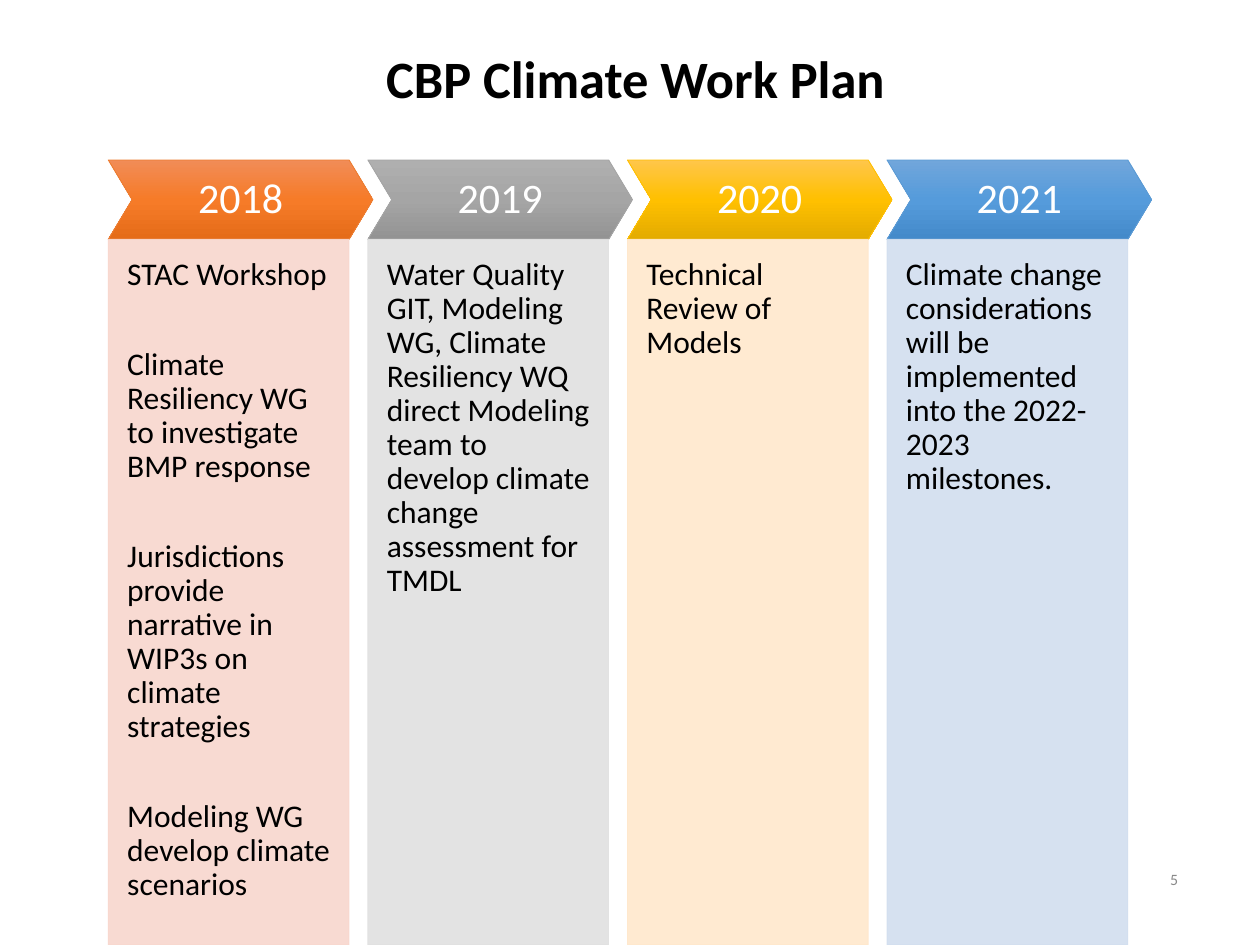
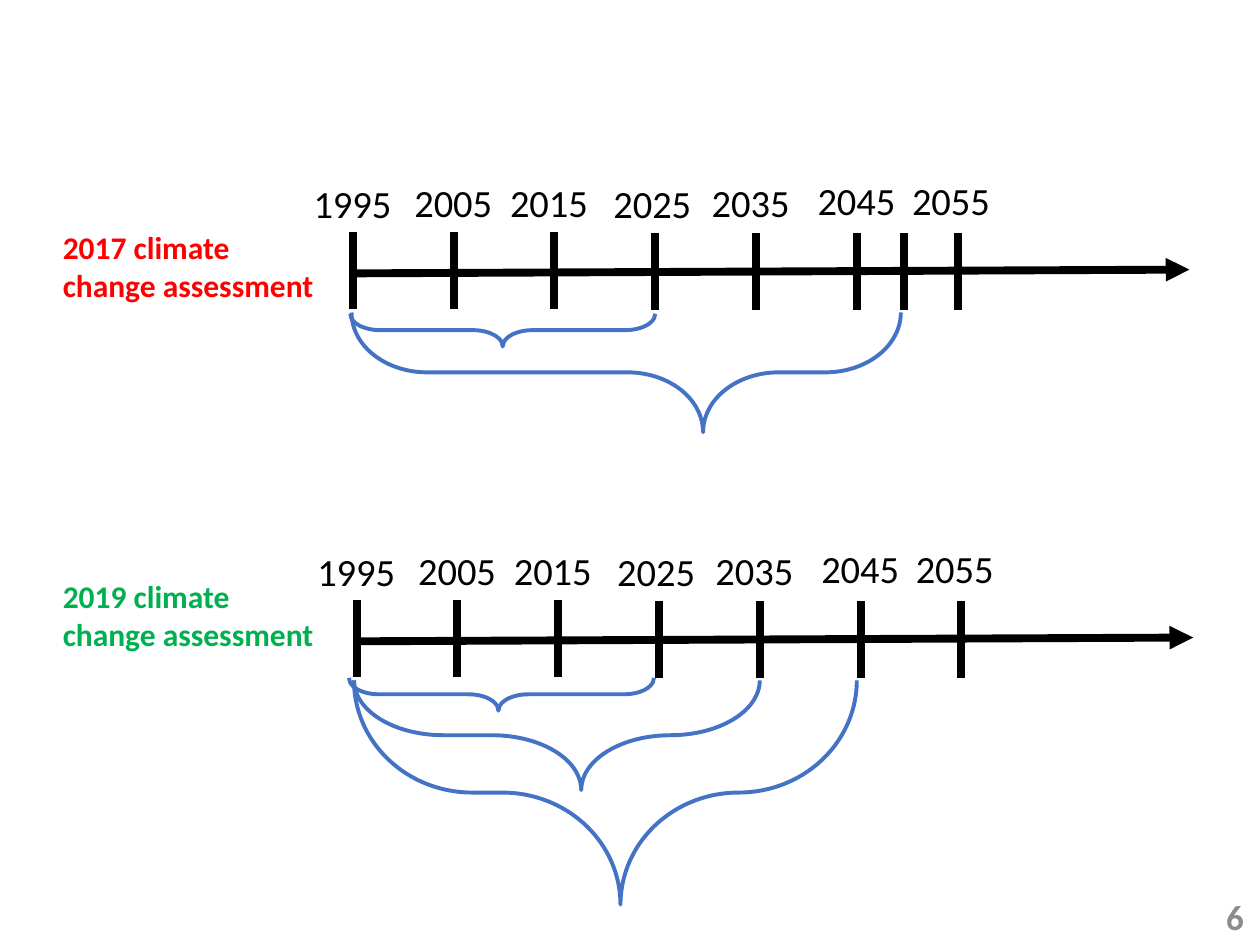
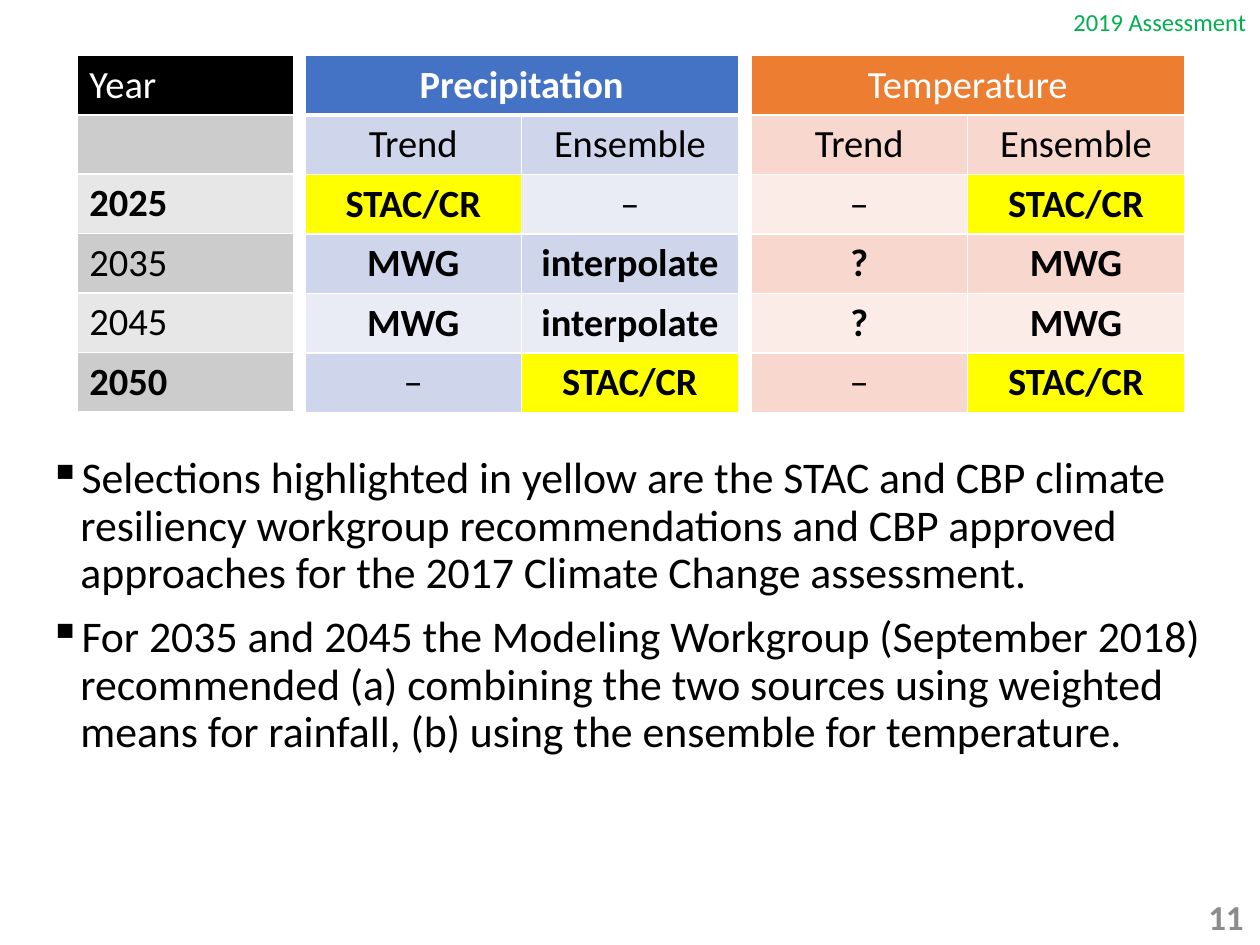
import pptx
import pptx.dml.color
import pptx.enum.shapes
import pptx.enum.text
import pptx.oxml
import pptx.oxml.ns
import pptx.util

Inches, Pt = pptx.util.Inches, pptx.util.Pt
SHAPE = pptx.enum.shapes.MSO_SHAPE
STRAIGHT = pptx.enum.shapes.MSO_CONNECTOR.STRAIGHT
ANCHOR = pptx.enum.text.MSO_ANCHOR
ALIGN = pptx.enum.text.PP_ALIGN
qn = pptx.oxml.ns.qn

FONT = "Calibri"
COLORS = {
    "black": "000000", "white": "FFFFFF", "red": "FF0000", "green": "00B050",
    "yellow": "FFFF00", "blue": "4472C4", "orange": "ED7D31",
    "number": "8C8C8C", "small number": "898989",
    "gray dark": "CCCCCC", "gray light": "E7E7E7",
    "blue dark": "CFD5EA", "blue light": "E9EBF5",
    "orange dark": "F8D7CE", "orange light": "FCECE8",
}

# year, chevron gradient, chevron outline, column colour, tasks
WORK_PLAN = [
    ("2018", ("F18C57", "F67B28", "E56C19"), "ED7D31", "F8D7CE",
     ["STAC Workshop", "Climate Resiliency WG to investigate BMP response",
      "Jurisdictions provide narrative in WIP3s on climate strategies",
      "Modeling WG develop climate scenarios"]),
    ("2019", ("AFAFAF", "A5A5A5", "939393"), "A5A5A5", "E1E1E1",
     ["Water Quality GIT, Modeling WG, Climate Resiliency WQ direct Modeling team "
      "to develop climate change assessment for TMDL"]),
    ("2020", ("FFC64B", "FFC000", "E3AB00"), "FFC000", "FFE8CC",
     ["Technical Review of Models"]),
    ("2021", ("71A6DB", "559BDB", "448ACA"), "5B9BD5", "D2DEEF",
     ["Climate change considerations will be implemented into the 2022-2023 milestones."]),
]

# year label with its left and top inside a timeline
YEAR_LABELS = [("1995", 0, 0.02), ("2005", 0.8, 0.01), ("2015", 1.56, 0.01),
               ("2025", 2.38, 0.02), ("2035", 3.16, 0.01), ("2045", 4, 0),
               ("2055", 4.75, 0)]
TICK_STEP = 0.8

BOLD_CELLS = {"Precipitation", "STAC/CR", "MWG", "interpolate", "?", "2025", "2050"}
YEAR_ROWS = [["Year"], [""], ["2025"], ["2035"], ["2045"], ["2050"]]
PRECIPITATION_ROWS = [["Precipitation", ""], ["Trend", "Ensemble"], ["STAC/CR", "–"],
                      ["MWG", "interpolate"], ["MWG", "interpolate"], ["–", "STAC/CR"]]
TEMPERATURE_ROWS = [["Temperature", ""], ["Trend", "Ensemble"], ["–", "STAC/CR"],
                    ["?", "MWG"], ["?", "MWG"], ["–", "STAC/CR"]]
NOTES = [
    "Selections highlighted in yellow are the STAC and CBP climate resiliency workgroup "
    "recommendations and CBP approved approaches for the 2017 Climate Change assessment.",
    "For 2035 and 2045 the Modeling Workgroup (September 2018) recommended (a) combining "
    "the two sources using weighted means for rainfall, (b) using the ensemble for temperature.",
]


def rgb(color):
    return pptx.dml.color.RGBColor.from_string(COLORS.get(color, color))


def write(frame, text, size=18, color="black", bold=False, align=ALIGN.LEFT,
          anchor=ANCHOR.TOP, insets=None, wrap=True, spacing=None, gap=0, bullet=None):
    """Fill a text frame with one string or a list of paragraphs, gap points apart."""
    frame.word_wrap = wrap
    frame.auto_size = pptx.enum.text.MSO_AUTO_SIZE.NONE
    frame.vertical_anchor = anchor
    if insets:
        (frame.margin_left, frame.margin_top,
         frame.margin_right, frame.margin_bottom) = map(Inches, insets)
    for index, line in enumerate([text] if isinstance(text, str) else text):
        para = frame.add_paragraph() if index else frame.paragraphs[0]
        para.alignment = align
        para.space_before = Pt(gap if index else 0)
        if spacing:
            para.line_spacing = spacing
        if bullet:
            add_bullet(para, bullet)
        span = para.add_run()
        span.text = line
        span.font.name, span.font.size, span.font.bold = FONT, Pt(size), bold
        span.font.color.rgb = rgb(color)


def add_bullet(para, character, indent=0.25):
    properties = para._p.get_or_add_pPr()
    properties.set("marL", str(Inches(indent)))
    properties.set("indent", str(-Inches(indent)))
    add_xml(properties, f'<a:buChar %s char="{character}"/>')


def add_xml(parent, markup):
    element = pptx.oxml.parse_xml(markup % pptx.oxml.ns.nsdecls("a"))
    parent.append(element)
    return element


def add_text(page, box, text, **style):
    write(page.shapes.add_textbox(*map(Inches, box)).text_frame, text, **style)


def add_shape(page, kind, box, line, line_width, fill=None):
    shape = page.shapes.add_shape(kind, *map(Inches, box))
    shape.shadow.inherit = False
    shape.line.color.rgb = rgb(line)
    shape.line.width = Pt(line_width)
    if fill:
        shape.fill.solid()
        shape.fill.fore_color.rgb = rgb(fill)
    else:
        shape.fill.background()
    return shape


def add_line(page, start, end, arrow=False):
    line = page.shapes.add_connector(STRAIGHT, *map(Inches, start + end))
    line.line.color.rgb = rgb("black")
    line.line.width = Pt(4.5)
    if arrow:
        add_xml(line.line._get_or_add_ln(), '<a:tailEnd %s type="triangle"/>')
    add_xml(line._element.spPr, "<a:effectLst %s/>")


def add_page_number(page, number):
    add_text(page, (9.29, 7.07, 0.68, 0.4), number, size=20, color="number", bold=True,
             align=ALIGN.RIGHT, anchor=ANCHOR.MIDDLE)


def set_gradient(shape, colors):
    """Spread the colours evenly from top to bottom."""
    shape.fill.gradient()
    shape.fill.gradient_angle = 270
    stops = shape._element.spPr.find(qn("a:gradFill")).find(qn("a:gsLst"))
    for stop in list(stops):
        stops.remove(stop)
    for index, color in enumerate(colors):
        position = 100000 * index // (len(colors) - 1)
        add_xml(stops, f'<a:gs %s pos="{position}"><a:srgbClr val="{color}"/></a:gs>')


def add_year_column(page, box, year, gradient, outline, tint, tasks):
    left, top, width, height = box
    head_height = 0.63
    chevron = add_shape(page, SHAPE.CHEVRON, (left, top, width + 0.19, head_height),
                        outline, 0.5)
    chevron.adjustments[0] = 0.3
    set_gradient(chevron, gradient)
    write(chevron.text_frame, year, size=24, color="white", align=ALIGN.CENTER,
          anchor=ANCHOR.MIDDLE, insets=(0.08,) * 4, spacing=0.9)

    column = add_shape(page, SHAPE.RECTANGLE,
                       (left, top + head_height, width, height - head_height),
                       tint, 0.5, fill=tint)
    for color in column._element.spPr.iter(qn("a:srgbClr")):
        add_xml(color, '<a:alpha %s val="90000"/>')
    write(column.text_frame, tasks, insets=(0.15, 0.15, 0.15, 0.3), spacing=0.9, gap=32)


def add_brace(page, left, top, width, drop, curve, point):
    """Place a brace that opens upward; the preset is drawn upright, then turned."""
    upright = (left + (width - drop) / 2, top + (drop - width) / 2, drop, width)
    brace = add_shape(page, SHAPE.LEFT_BRACE, upright, "blue", 2.25)
    brace.rotation = 270
    brace.adjustments[0], brace.adjustments[1] = curve, point


def add_timeline(page, left, top, caption, caption_top, caption_color, braces, extra_ticks=()):
    add_text(page, (0.4, top + caption_top, 2.25, 0.71), caption,
             color=caption_color, bold=True)
    add_line(page, (left + 0.39, top + 0.81), (left + 7.05, top + 0.78), arrow=True)
    for year, label_left, label_top in YEAR_LABELS:
        add_text(page, (left + label_left, top + label_top, 0.83, 0.47), year,
                 size=22, wrap=False)
    for step in [*range(len(YEAR_LABELS)), *extra_ticks]:
        tick_left = left + 0.41 + step * TICK_STEP
        tick_top = top + (0.48 if step < 3 else 0.49)
        add_line(page, (tick_left, tick_top), (tick_left, tick_top + 0.61))
    for brace_left, brace_top, *shape in braces:
        add_brace(page, left + brace_left, top + brace_top, *shape)


def add_cell_borders(cell, top, bottom):
    properties = cell._tc.get_or_add_tcPr()
    for side, width in (("L", 1), ("R", 1), ("T", top), ("B", bottom)):
        add_xml(properties, f'<a:ln{side} %s w="{Pt(width)}"><a:solidFill>'
                            f'<a:srgbClr val="{COLORS["white"]}"/></a:solidFill></a:ln{side}>')


def add_scenario_table(page, left, rows, head, tint, align=ALIGN.CENTER, head_rule=1):
    column_width, row_height = 1.72, 0.47
    columns = len(rows[0])
    table = page.shapes.add_table(
        len(rows), columns, Inches(left), Inches(0.44),
        Inches(column_width * columns), Inches(row_height * len(rows))).table
    table.first_row = table.horz_banding = False
    for row, texts in enumerate(rows):
        table.rows[row].height = Inches(row_height)
        for column, text in enumerate(texts):
            cell = table.cell(row, column)
            add_cell_borders(cell, head_rule if row == 1 else 1, head_rule if row == 0 else 1)
            cell.fill.solid()
            band = f"{tint} dark" if row % 2 else f"{tint} light"
            fill = head if row == 0 else "yellow" if text == "STAC/CR" else band
            cell.fill.fore_color.rgb = rgb(fill)
            if text:
                write(cell.text_frame, text, size=22, align=align, bold=text in BOLD_CELLS,
                      color="black" if row else "white")
    if columns > 1:
        table.cell(0, 0).merge(table.cell(0, columns - 1))


def build_work_plan(deck):
    page = deck.slides.add_slide(deck.slide_layouts[5])
    title = page.shapes.title
    title.left, title.top, title.width, title.height = map(Inches, (1.01, 0.18, 8.07, 0.93))
    write(title.text_frame, "CBP Climate Work Plan", size=30, bold=True, align=ALIGN.CENTER,
          anchor=ANCHOR.MIDDLE, insets=(0, 0.01, 0, 0), spacing=0.9)
    add_text(page, (8.88, 6.81, 0.47, 0.34), "5", size=9, color="small number",
             align=ALIGN.RIGHT, anchor=ANCHOR.MIDDLE, insets=(0,) * 4)
    for index, column in enumerate(WORK_PLAN):
        add_year_column(page, (0.86 + index * 2.06, 1.27, 1.91, 6.23), *column)


def build_timelines(deck):
    page = deck.slides.add_slide(deck.slide_layouts[6])
    add_page_number(page, "6")
    add_timeline(page, 2.39, 1.36, "2017 climate change assessment", 0.4, "red",
                 [(0.39, 1.13, 2.42, 0.26, 0.91, 0.5),
                  (0.4, 1.12, 4.36, 0.95, 0.63, 0.64)], extra_ticks=[5.47])
    add_timeline(page, 2.42, 4.28, "2019 climate change assessment", 0.25, "green",
                 [(0.35, 1.1, 2.42, 0.26, 0.91, 0.49),
                  (0.39, 1.12, 3.22, 0.87, 0.91, 0.56),
                  (0.39, 1.12, 3.99, 1.78, 0.91, 0.53)])


def build_scenarios(deck):
    page = deck.slides.add_slide(deck.slide_layouts[6])
    add_text(page, (0.29, 3.57, 9.42, 3.64), NOTES, size=25, spacing=0.9, gap=10, bullet="▪")
    add_page_number(page, "11")
    add_scenario_table(page, 0.61, YEAR_ROWS, "black", "gray", align=ALIGN.LEFT)
    add_scenario_table(page, 2.42, PRECIPITATION_ROWS, "blue", "blue", head_rule=3)
    add_scenario_table(page, 5.96, TEMPERATURE_ROWS, "orange", "orange")
    add_text(page, (8.42, 0.01, 1.59, 0.34), "2019 Assessment", size=14, color="green",
             wrap=False)


def main():
    deck = pptx.Presentation()
    deck.slide_width, deck.slide_height = Inches(10), Inches(7.5)
    build_work_plan(deck)
    build_timelines(deck)
    build_scenarios(deck)
    deck.save("out.pptx")


if __name__ == "__main__":
    main()
